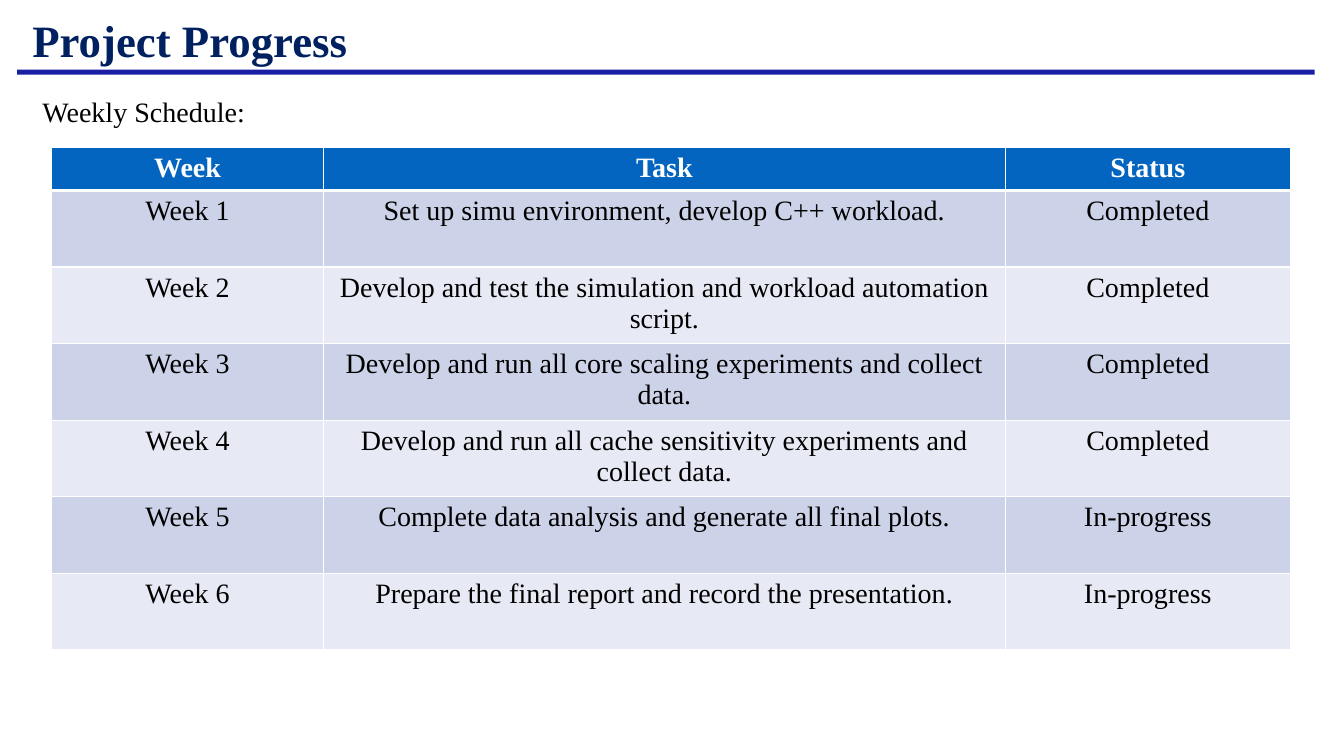
from lxml import etree
from pptx import Presentation
from pptx.dml.color import RGBColor
from pptx.enum.shapes import MSO_SHAPE
from pptx.enum.text import MSO_ANCHOR, MSO_AUTO_SIZE, PP_ALIGN
from pptx.oxml.ns import qn
from pptx.util import Pt

PX = 9144  # 100 px to the inch
RECT = MSO_SHAPE.RECTANGLE
TOP, MIDDLE = MSO_ANCHOR.TOP, MSO_ANCHOR.MIDDLE
LEFT, CENTER = PP_ALIGN.LEFT, PP_ALIGN.CENTER
FIXED = MSO_AUTO_SIZE.NONE

WHITE = RGBColor(0xFF, 0xFF, 0xFF)
BLACK = RGBColor(0x00, 0x00, 0x00)
NAVY = RGBColor(0x00, 0x20, 0x60)
INDIGO = RGBColor(0x19, 0x1E, 0xA2)
BLUE = RGBColor(0x03, 0x65, 0xC0)
BANDS = [RGBColor(0xE7, 0xEA, 0xF4), RGBColor(0xCC, 0xD3, 0xE8)]

COLS = [270, 676, 283]
HEAD, ROW = 43, 76
ROWS = [
    ("Week", "Task", "Status"),
    ("Week 1", "Set up simu environment, develop C++ workload.", "Completed"),
    ("Week 2", "Develop and test the simulation and workload automation script.", "Completed"),
    ("Week 3", "Develop and run all core scaling experiments and collect data.", "Completed"),
    ("Week 4", "Develop and run all cache sensitivity experiments and collect data.", "Completed"),
    ("Week 5", "Complete data analysis and generate all final plots.", "In-progress"),
    ("Week 6", "Prepare the final report and record the presentation.", "In-progress"),
]


def write(frame, text, size, color, bold, align):
    frame.text = text
    para = frame.paragraphs[0]
    para.alignment = align
    font = para.runs[0].font
    font.name, font.size, font.bold = "Times New Roman", Pt(size), bold
    font.color.rgb = color


def edge(cell, side, width):
    """Draw one white border; sides must be added in the order L, R, T, B."""
    props = cell._tc.get_or_add_tcPr()
    line = etree.Element(qn("a:ln" + side), w=str(Pt(width)))
    fill = etree.SubElement(line, qn("a:solidFill"))
    etree.SubElement(fill, qn("a:srgbClr"), val=str(WHITE))
    props.insert("LRTB".index(side), line)


prs = Presentation()
prs.slide_width, prs.slide_height = 1333 * PX, 750 * PX
slide = prs.slides.add_slide(prs.slide_layouts[5])
shapes = slide.shapes

bar = shapes.add_shape(RECT, 17 * PX, 69 * PX, 1287 * PX, 5 * PX)
bar.shadow.inherit = False
bar.fill.solid()
bar.fill.fore_color.rgb = INDIGO
bar.line.fill.background()

title = shapes.title
intro = shapes.add_textbox(0, 0, PX, PX)
texts = [
    (title, (18, 0, 1089, 78), 14, MIDDLE, "Project Progress", 32, NAVY, True),
    (intro, (42, 94, 1271, 40), 0, TOP, "Weekly Schedule:", 20, BLACK, False),
]
for shape, box, inset, anchor, text, size, color, bold in texts:
    shape.left, shape.top, shape.width, shape.height = [v * PX for v in box]
    frame = shape.text_frame
    form = {"word_wrap": True, "auto_size": FIXED, "vertical_anchor": anchor}
    for side in ("left", "top", "right", "bottom"):
        form["margin_" + side] = inset * PX
    for name, value in form.items():
        setattr(frame, name, value)
    write(frame, text, size, color, bold, LEFT)

high = HEAD + ROW * (len(ROWS) - 1)
table = shapes.add_table(
    len(ROWS), len(COLS), 51 * PX, 146 * PX, sum(COLS) * PX, high * PX
).table
for col, width in zip(table.columns, COLS):
    col.width = width * PX
for r, row in enumerate(ROWS):
    head = r == 0
    table.rows[r].height = (HEAD if head else ROW) * PX
    for c, text in enumerate(row):
        cell = table.cell(r, c)
        cell.fill.solid()
        cell.fill.fore_color.rgb = BLUE if head else BANDS[r % 2]
        write(cell.text_frame, text, 20, WHITE if head else BLACK, head, CENTER)
        for side in "LRTB":
            thick = (head and side == "B") or (r == 1 and side == "T")
            edge(cell, side, 3 if thick else 1)

prs.save("out.pptx")
